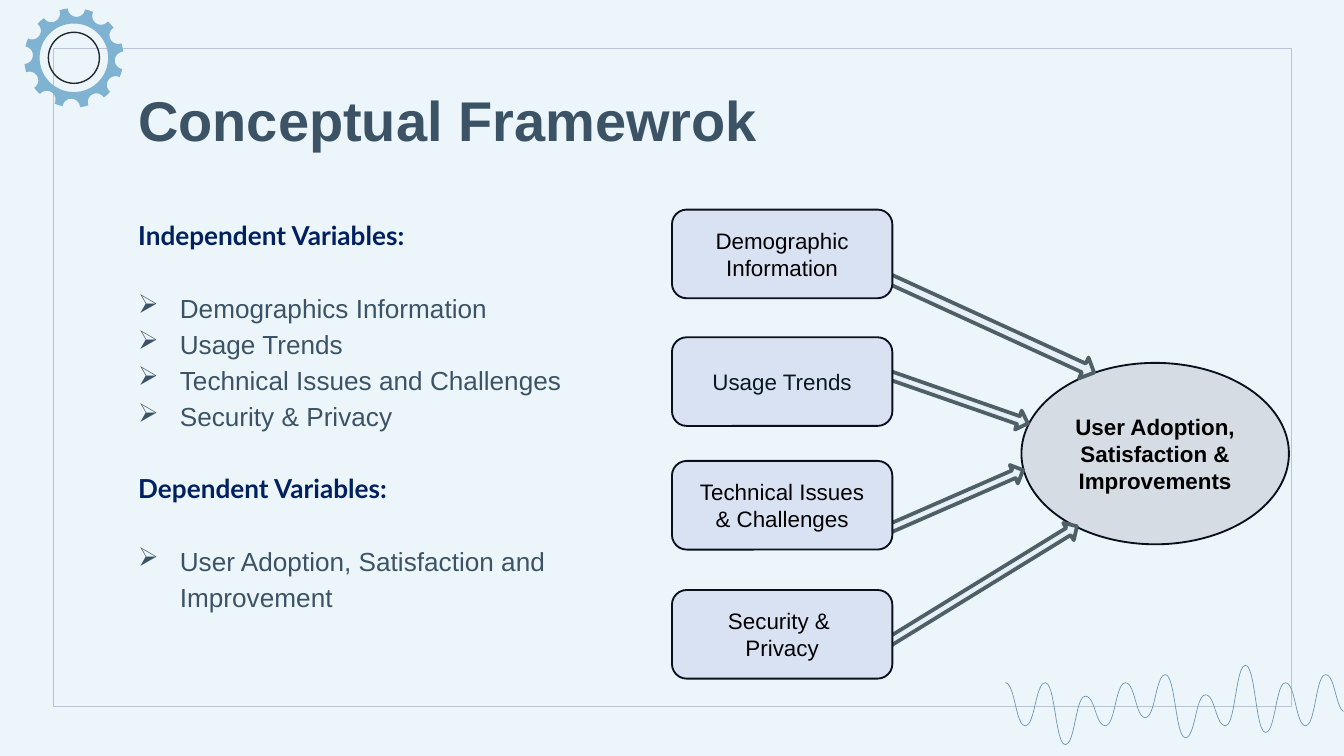
from math import asin, cos, pi, radians, sin

from lxml import etree
from pptx import Presentation
from pptx.dml.color import RGBColor
from pptx.enum.shapes import MSO_SHAPE as Shape
from pptx.enum.text import MSO_ANCHOR as Anchor, PP_ALIGN as Align
from pptx.oxml.ns import qn
from pptx.util import Inches, Pt

COLORS = {
    "background": "ECF6FA", "frame": "B9C4DA", "wave": "6C94B2",
    "gear": "80B3D2", "ring": "21272C", "text": "3C5366",
    "heading": "002060", "outline": "09101D", "factor": "D9E2F3",
    "outcome": "D5DCE4", "arrow": "E6F0F6", "arrow_line": "4E5F66",
    "black": "000000", "usage": "091920",
}

# (lines, top, text colour)
FACTORS = [
    (["Demographic Information"], 1.56, "black"),
    (["Usage Trends"], 2.51, "usage"),
    (["Technical Issues & Challenges"], 3.43, "black"),
    (["Security & ", "Privacy"], 4.39, "black"),
]
# (left, top, length, thickness, rotation)
ARROWS = [
    (6.27, 2.28, 1.96, 0.17, 24.6),
    (6.55, 2.89, 1.13, 0.15, 19.2),
    (6.53, 3.65, 1.13, 0.15, -23.6),
    (6.32, 4.32, 1.83, 0.15, -31.6),
]
VARIABLES = [
    ("Independent Variables:", ["Demographics Information", "Usage Trends",
                                "Technical Issues and Challenges",
                                "Security & Privacy"]),
    ("Dependent Variables:", ["User Adoption, Satisfaction and Improvement"]),
]
WAVE_LEVELS = [5.08, 5.4, 5.08, 5.54, 5.18, 5.4, 5.08, 5.34, 5.02, 5.49, 5.17,
               5.4, 4.95, 5.45, 5.08, 5.4, 5.02, 5.3]


def rgb(name):
    return RGBColor.from_string(COLORS[name])


def style(shape, fill=None, line=None, width=1):
    shape.shadow.inherit = False
    if fill:
        shape.fill.solid()
        shape.fill.fore_color.rgb = rgb(fill)
    else:
        shape.fill.background()
    if line:
        shape.line.color.rgb = rgb(line)
        shape.line.width = Pt(width)
    else:
        shape.line.fill.background()


def add_run(paragraph, text, size, color, bold=False, font="Arial"):
    run = paragraph.add_run()
    run.text = text
    run.font.name = font
    run.font.size = Pt(size)
    run.font.bold = bold
    run.font.color.rgb = rgb(color)


def add_shape(slide, kind, box, fill=None, line=None, width=1):
    shape = slide.shapes.add_shape(kind, *map(Inches, box))
    style(shape, fill, line, width)
    return shape


def add_node(slide, kind, box, fill, lines, color="black", bold=False):
    """Add an outlined shape with centred text."""
    node = add_shape(slide, kind, box, fill, "outline")
    frame = node.text_frame
    frame.word_wrap = True
    frame.vertical_anchor = Anchor.MIDDLE
    for index, text in enumerate(lines):
        paragraph = frame.add_paragraph() if index else frame.paragraphs[0]
        paragraph.alignment = Align.CENTER
        add_run(paragraph, text, 12, color, bold)


def add_outline(slide, contours, closed):
    """Add a freeform through one or more lists of points in inches."""
    contours = [[(Inches(x), Inches(y)) for x, y in points] for points in contours]
    builder = slide.shapes.build_freeform(*contours[0][0])
    for index, points in enumerate(contours):
        if index:
            builder.move_to(*points[0])
        builder.add_line_segments(points[1:], close=closed)
    return builder.convert_to_shape()


def arc(center, radius, start, end, steps=12):
    angles = [start + (end - start) * i / steps for i in range(steps + 1)]
    return [(center[0] + radius * cos(a), center[1] + radius * sin(a))
            for a in angles]


def add_gear(slide, center=(0.55, 0.43), radius=0.37, notch=0.065, teeth=12):
    half = 2 * asin(notch / 2 / radius)
    pitch = 2 * pi / teeth
    rim = []
    for index in range(teeth):
        angle = radians(-87) + index * pitch
        bite_center = arc(center, radius, angle, angle, 1)[0]
        swing = pi / 2 + half / 2
        rim += arc(bite_center, notch, angle - swing, angle - 2 * pi + swing)
        rim += arc(center, radius, angle + half, angle + pitch - half, 4)
    hole = arc(center, 0.255, 2 * pi, 0, 60)
    style(add_outline(slide, [rim, hole], True), "gear")
    add_shape(slide, Shape.OVAL, (center[0] - 0.19, center[1] - 0.19, 0.38, 0.38),
              line="ring", width=0.75)


def add_wave(slide, left=7.48, step=0.149, samples=12):
    points = [(left, WAVE_LEVELS[0])]
    for index, (start, end) in enumerate(zip(WAVE_LEVELS, WAVE_LEVELS[1:])):
        for sample in range(1, samples + 1):
            t = sample / samples
            x = left + step * (index + 1.5 * t * (1 - t) + t ** 3)
            points.append((x, start + (end - start) * (3 * t ** 2 - 2 * t ** 3)))
    visible = [point for point in points if point[0] <= 10]
    style(add_outline(slide, [visible], False), line="wave", width=0.37)


def add_text_box(slide, box, top_inset=0.1):
    frame = slide.shapes.add_textbox(*map(Inches, box)).text_frame
    frame.word_wrap = True
    frame.margin_left = frame.margin_right = frame.margin_bottom = Inches(0.1)
    frame.margin_top = Inches(top_inset)
    return frame


def set_bullet(paragraph):
    properties = paragraph._p.get_or_add_pPr()
    properties.set("marL", str(Inches(0.31)))
    properties.set("indent", str(-Inches(0.31)))
    bullet_color = etree.SubElement(properties, qn("a:buClr"))
    etree.SubElement(bullet_color, qn("a:srgbClr"), val=COLORS["text"])
    etree.SubElement(properties, qn("a:buChar"), char="➢")


def add_variables(slide):
    frame = add_text_box(slide, (0.93, 1.5, 3.41, 3.17))
    for group, (heading, items) in enumerate(VARIABLES):
        title = frame.add_paragraph() if group else frame.paragraphs[0]
        title.line_spacing = 1.15
        if group:
            title.space_before = Pt(19.5)
        title.space_after = Pt(19.5)
        add_run(title, heading, 14, "heading", True, "Lato")
        for item in items:
            paragraph = frame.add_paragraph()
            set_bullet(paragraph)
            paragraph.line_spacing = 1.15
            add_run(paragraph, item, 14, "text")


def add_arrow(slide, left, top, length, thickness, rotation):
    arrow = add_shape(slide, Shape.RIGHT_ARROW, (left, top, length, thickness),
                      "arrow", "arrow_line", 2)
    arrow.adjustments[0] = 0.416
    arrow.rotation = rotation


def main():
    deck = Presentation()
    deck.slide_width, deck.slide_height = Inches(10), Inches(5.625)
    slide = deck.slides.add_slide(deck.slide_layouts[6])
    slide.background.fill.solid()
    slide.background.fill.fore_color.rgb = rgb("background")

    add_shape(slide, Shape.RECTANGLE, (0.4, 0.36, 9.21, 4.9), line="frame", width=0.75)
    add_wave(slide)
    add_gear(slide)

    title = add_text_box(slide, (0.93, 0.5, 6.05, 0.63), top_inset=0.14)
    add_run(title.paragraphs[0], "Conceptual Framewrok", 30, "text", True)
    add_variables(slide)

    add_node(slide, Shape.OVAL, (7.6, 2.7, 1.99, 1.35), "outcome",
             ["User Adoption, Satisfaction & Improvements"], bold=True)
    for arrow in ARROWS:
        add_arrow(slide, *arrow)
    for lines, top, color in FACTORS:
        add_node(slide, Shape.ROUNDED_RECTANGLE, (5, top, 1.64, 0.66), "factor",
                 lines, color)
    deck.save("out.pptx")


if __name__ == "__main__":
    main()
